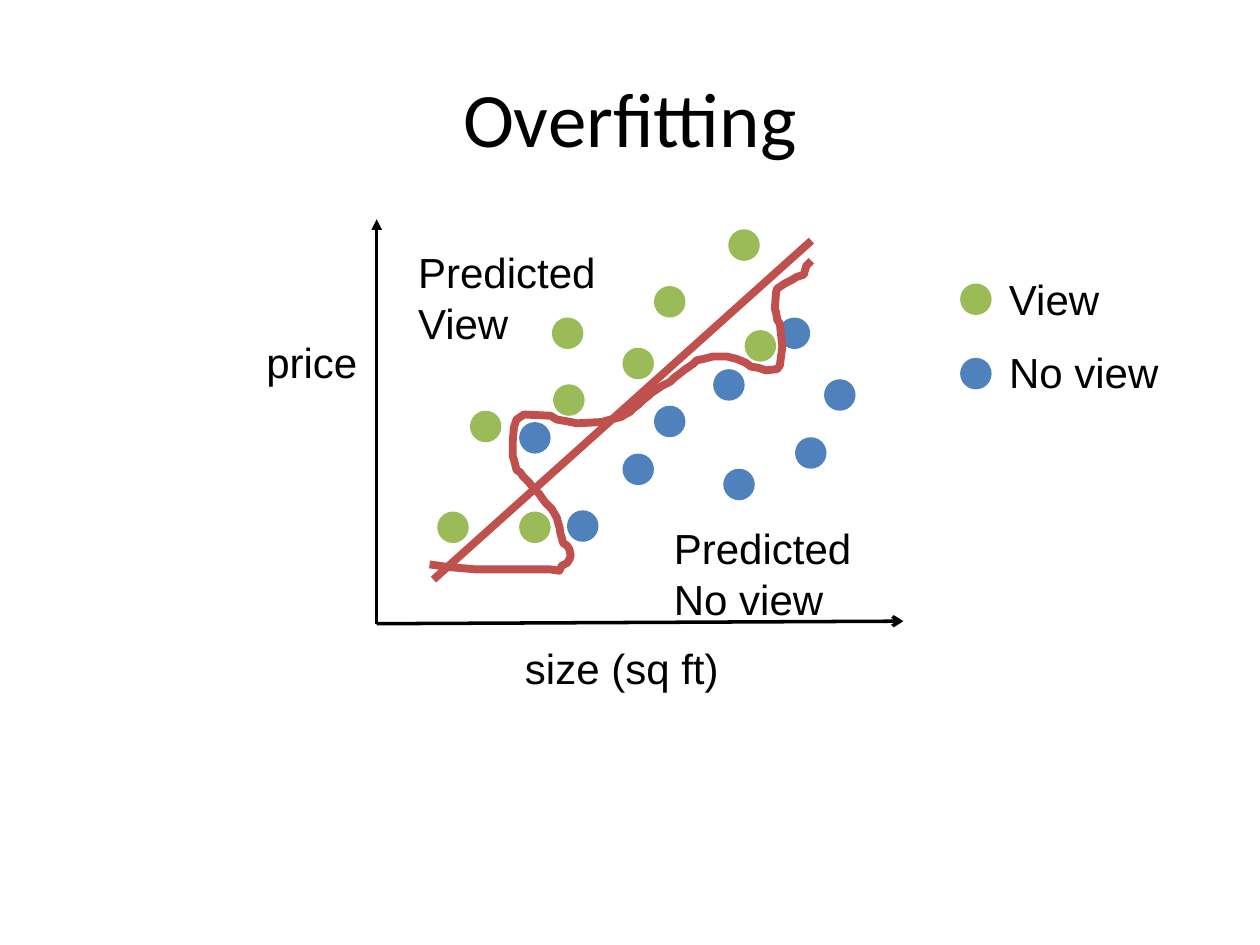
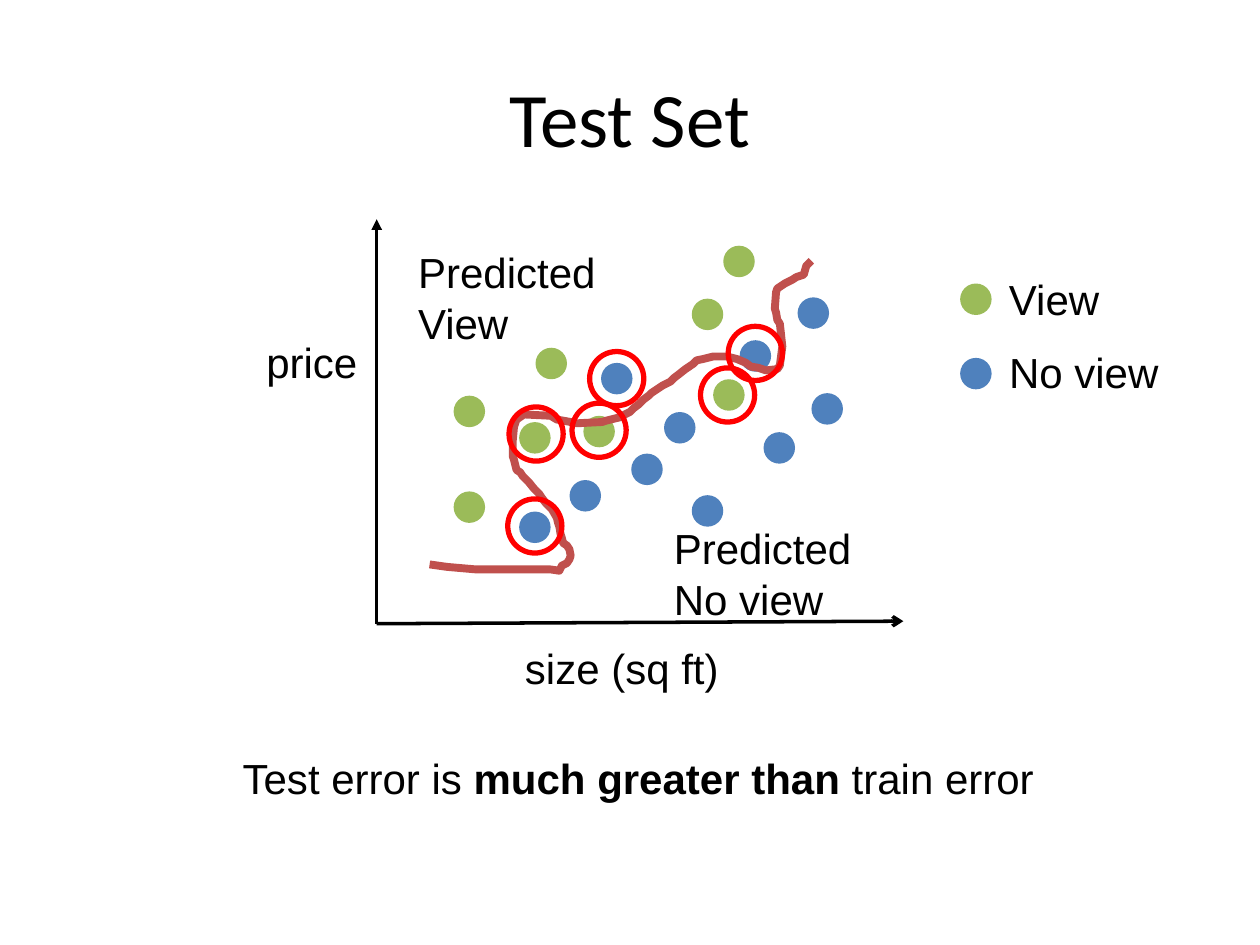
from lxml import etree
from pptx import Presentation
from pptx.dml.color import RGBColor
from pptx.enum.shapes import MSO_CONNECTOR, MSO_SHAPE
from pptx.enum.text import MSO_ANCHOR, PP_ALIGN
from pptx.oxml.ns import qn
from pptx.util import Pt

STRAIGHT, ELLIPSE = MSO_CONNECTOR.STRAIGHT, MSO_SHAPE.OVAL
LEFT, CENTER = PP_ALIGN.LEFT, PP_ALIGN.CENTER
MIDDLE, TOP = MSO_ANCHOR.MIDDLE, MSO_ANCHOR.TOP

PX = 9144  # 100 px to the inch
BLACK, VIEW, NO_VIEW = "000000", "9BBB59", "4F81BD"
BOUNDARY, ERROR = "C0504D", "FF0000"
DOT, RING = 25, 43
rgb = RGBColor.from_string

TITLE_FONT = {"name": "Calibri", "size": Pt(44)}
BODY_FONT = {"name": "Arial", "size": Pt(24)}


def add_label(slide, box, runs, font=BODY_FONT, align=LEFT, anchor=TOP):
    """Write (text, bold) runs as one paragraph."""
    frame = slide.shapes.add_textbox(*(v * PX for v in box)).text_frame
    frame.word_wrap = True
    frame.vertical_anchor = anchor
    paragraph = frame.paragraphs[0]
    paragraph.alignment = align
    for text, bold in runs:
        run = paragraph.add_run()
        run.text = text
        for key, value in {**font, "bold": bold}.items():
            setattr(run.font, key, value)
        run.font.color.rgb = rgb(BLACK)


def add_circle(slide, x, y, size, fill=None):
    """Draw a filled dot, or a red ring when there is no fill."""
    circle = slide.shapes.add_shape(ELLIPSE, x * PX, y * PX, size * PX, size * PX)
    circle.shadow.inherit = False
    if fill:
        circle.fill.solid()
        circle.fill.fore_color.rgb = rgb(fill)
        circle.line.fill.background()
    else:
        circle.fill.background()
        circle.line.color.rgb = rgb(ERROR)
        circle.line.width = Pt(3)


# Parts of the chart that both slides share
chart_labels = [
    ("size (sq ft)", (398, 505, 191, 50), CENTER),
    ("price", (196, 262, 103, 50), CENTER),
    ("No view", (791, 270, 149, 50), LEFT),
    ("View", (791, 212, 180, 50), LEFT),
    ("Predicted View", (322, 191, 180, 91), LEFT),
    ("Predicted No view", (525, 410, 175, 91), LEFT),
]
legend_dots = [(762, 284, NO_VIEW), (762, 225, VIEW)]
# start, end, colour, width, arrowhead
axes = [
    ((299, 495), (299, 174), BLACK, 2, "triangle"),
    ((299, 495), (717, 493), BLACK, 2, "arrow"),
]
overfit_curve = [
    (341, 448), (355, 450), (378, 452), (407, 452), (437, 452), (444, 453),
    (446, 449), (450, 447), (452, 444), (453, 441), (452, 436), (450, 433),
    (447, 431), (446, 427), (445, 424), (444, 418), (443, 415), (442, 411),
    (438, 404), (433, 399), (430, 395), (428, 392), (424, 388), (420, 383),
    (415, 378), (413, 375), (410, 373), (408, 365), (407, 362), (407, 350),
    (408, 339), (410, 333), (416, 329), (437, 330), (442, 333), (453, 335),
    (458, 336), (478, 335), (481, 334), (489, 332), (493, 331), (496, 329),
    (500, 327), (503, 324), (507, 321), (511, 317), (515, 314), (517, 312),
    (526, 306), (532, 303), (535, 300), (539, 297), (544, 293), (550, 289),
    (553, 286), (558, 285), (566, 283), (577, 283), (585, 285), (592, 288),
    (596, 291), (602, 292), (608, 294), (617, 293), (619, 290), (621, 275),
    (619, 257), (617, 254), (616, 248), (615, 245), (616, 232), (617, 229),
    (623, 225), (629, 222), (632, 220), (638, 218), (640, 211), (643, 208),
    (644, 207),
]

# What differs from slide to slide
charts = [
    {
        "title": "Overfitting",
        NO_VIEW: [(494, 360), (519, 322), (566, 293), (618, 252), (574, 372),
                  (654, 301), (412, 335), (631, 347), (450, 405)],
        VIEW: [(438, 252), (373, 326), (439, 305), (347, 406), (578, 182),
               (519, 227), (412, 406), (494, 276), (591, 262)],
        "lines": [((344, 460), (644, 191), BOUNDARY, 4.5, None)],
        "errors": [],
        "conclusion": [],
    },
    {
        "title": "Test Set",
        NO_VIEW: [(501, 360), (527, 327), (633, 236), (549, 393), (644, 312),
                  (606, 343), (452, 381), (412, 406), (477, 288), (587, 270)],
        VIEW: [(566, 301), (412, 335), (425, 276), (463, 330), (360, 314),
               (360, 390), (574, 195), (549, 237)],
        "lines": [],
        "errors": [(403, 396), (404, 323), (454, 320), (556, 292), (578, 259),
                   (468, 279)],
        "conclusion": [("Test error is ", False), ("much greater than ", True),
                       ("train error", False)],
    },
]

prs = Presentation()
prs.slide_width, prs.slide_height = 1000 * PX, 750 * PX

for chart in charts:
    slide = prs.slides.add_slide(prs.slide_layouts[6])
    add_label(slide, (50, 30, 900, 125), [(chart["title"], False)],
              TITLE_FONT, CENTER, MIDDLE)

    # Dots of the legend and the data
    for x, y, colour in legend_dots:
        add_circle(slide, x, y, DOT, colour)
    for colour in (NO_VIEW, VIEW):
        for x, y in chart[colour]:
            add_circle(slide, x, y, DOT, colour)

    # Labels of axes, legend and regions
    for text, box, align in chart_labels:
        add_label(slide, box, [(text, False)], align=align)

    # Overfitted decision boundary
    builder = slide.shapes.build_freeform(*overfit_curve[0], scale=PX)
    builder.add_line_segments(overfit_curve[1:], close=False)
    curve = builder.convert_to_shape()
    curve.shadow.inherit = False
    curve.fill.background()
    curve.line.color.rgb = rgb(BOUNDARY)
    curve.line.width = Pt(4.5)

    # Axes and straight decision boundary
    for start, end, colour, width, arrowhead in axes + chart["lines"]:
        line = slide.shapes.add_connector(
            STRAIGHT, *(v * PX for v in start + end))
        line.line.color.rgb = rgb(colour)
        line.line.width = Pt(width)
        properties = line._element.spPr
        if arrowhead:
            etree.SubElement(properties.find(qn("a:ln")), qn("a:tailEnd"),
                             type=arrowhead)
        etree.SubElement(properties, qn("a:effectLst"))

    # Rings round the misclassified dots, and the conclusion
    for x, y in chart["errors"]:
        add_circle(slide, x, y, RING)
    if chart["conclusion"]:
        add_label(slide, (79, 592, 855, 50), chart["conclusion"], align=CENTER)

prs.save("out.pptx")
